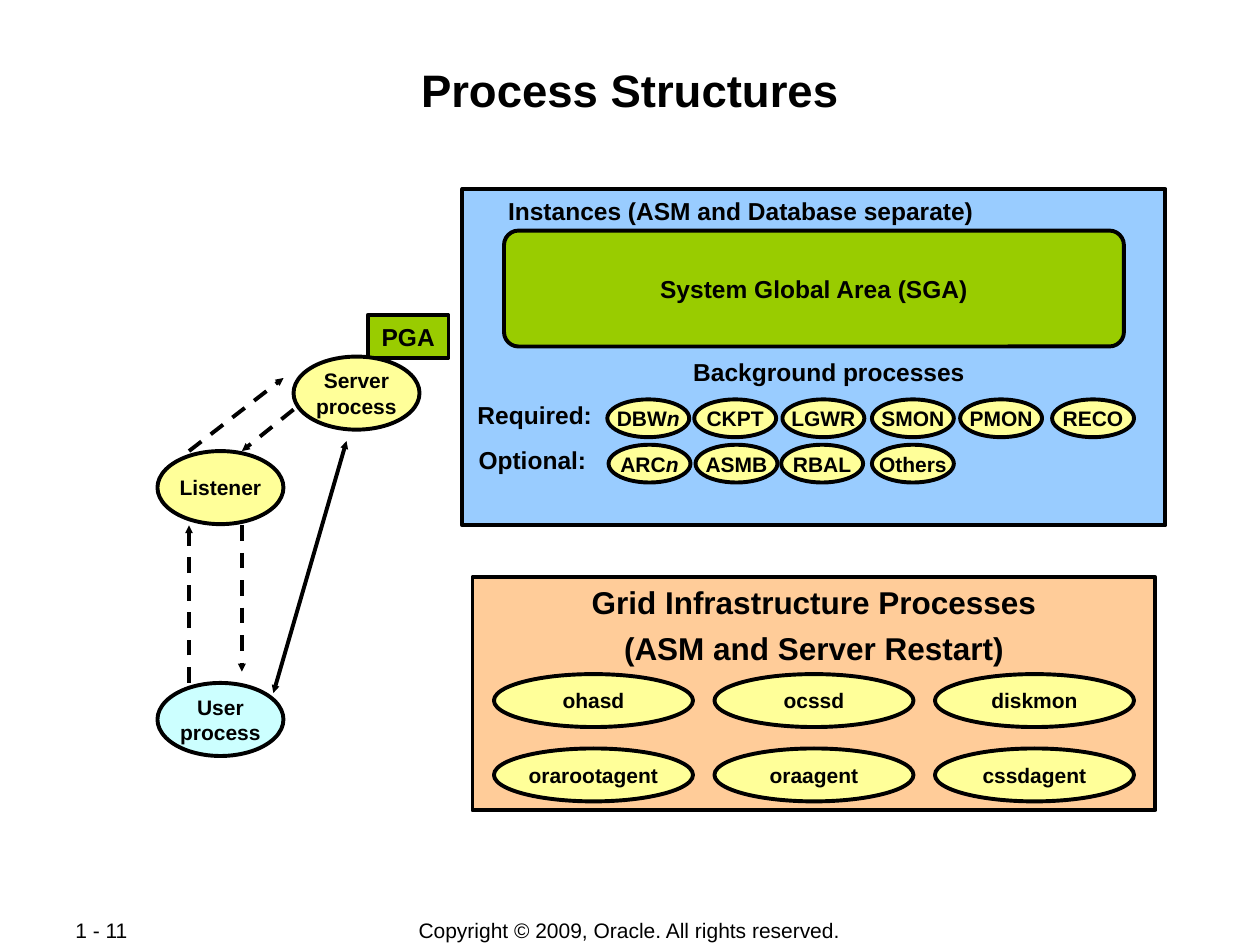
from lxml import etree
from pptx import Presentation
from pptx.dml.color import RGBColor
from pptx.enum.dml import MSO_LINE
from pptx.enum.shapes import MSO_CONNECTOR, MSO_SHAPE
from pptx.enum.text import MSO_ANCHOR, PP_ALIGN
from pptx.oxml.ns import qn
from pptx.util import Inches, Pt

COLORS = {
    "ink": "000000",
    "paper": "FFFFFF",
    "instance": "99CCFF",
    "memory": "99CC00",
    "process": "FFFF99",
    "user": "CCFFFF",
    "grid": "FFCC99",
}


def rgb(name):
    return RGBColor.from_string(COLORS[name])


class Diagram:
    font = "Arial"
    line_width = Pt(2.25)

    def __init__(self, slide):
        self.s = slide
        fill = slide.background.fill
        fill.solid()
        fill.fore_color.rgb = rgb("paper")

    def set_text(self, tf, text, size, bold=True, align=PP_ALIGN.CENTER,
                 anchor=MSO_ANCHOR.MIDDLE, wrap=False, italic_end=""):
        """Fill a text frame; italic_end is a last run set in italics."""
        tf.text = text
        tf.word_wrap = wrap
        tf.vertical_anchor = anchor
        if italic_end:
            r = tf.paragraphs[0].add_run()
            r.text = italic_end
            r.font.italic = True
        for p in tf.paragraphs:
            p.alignment = align
            for r in p.runs:
                r.font.name = self.font
                r.font.size = Pt(size)
                r.font.bold = bold
                r.font.color.rgb = rgb("ink")

    def title(self, text, x, y, w, h):
        sp = self.s.shapes.title
        sp.left, sp.top, sp.width, sp.height = map(Inches, (x, y, w, h))
        tf = sp.text_frame
        tf.margin_left = tf.margin_right = Inches(0.01)
        tf.margin_top = tf.margin_bottom = Inches(0.01)
        self.set_text(tf, text, 26, anchor=MSO_ANCHOR.TOP, wrap=True)

    def label(self, text, x, y, w, h, size=14, line_spacing=0.8, **style):
        sp = self.s.shapes.add_textbox(*map(Inches, (x, y, w, h)))
        style = {"anchor": MSO_ANCHOR.TOP, "wrap": True, **style}
        self.set_text(sp.text_frame, text, size, **style)
        sp.text_frame.paragraphs[0].line_spacing = line_spacing

    def shape(self, kind, color, x, y, w, h, text="", size=14, **style):
        sp = self.s.shapes.add_shape(kind, *map(Inches, (x, y, w, h)))
        sp.shadow.inherit = False
        sp.fill.solid()
        sp.fill.fore_color.rgb = rgb(color)
        sp.line.color.rgb = rgb("ink")
        sp.line.width = self.line_width
        if text:
            self.set_text(sp.text_frame, text, size, **style)
        return sp

    def oval(self, text, x, y, w, h, color="process", italic_end=""):
        self.shape(MSO_SHAPE.OVAL, color, x, y, w, h, text, 12,
                   italic_end=italic_end)

    def arrow(self, start, end, both=False):
        """Dashed arrow pointing at end, or a solid one with two heads."""
        c = self.s.shapes.add_connector(
            MSO_CONNECTOR.STRAIGHT, *map(Inches, (*start, *end)))
        c.line.color.rgb = rgb("ink")
        c.line.width = self.line_width
        if not both:
            c.line.dash_style = MSO_LINE.DASH
        sp_pr = c._element.spPr
        ln = sp_pr.find(qn("a:ln"))
        for tag in ("a:headEnd", "a:tailEnd") if both else ("a:tailEnd",):
            etree.SubElement(ln, qn(tag), type="triangle", w="sm", len="sm")
        etree.SubElement(sp_pr, qn("a:effectLst"))


def draw_instances(d):
    d.shape(MSO_SHAPE.RECTANGLE, "instance", 3.67, 1.5, 5.58, 2.67)
    d.label("Instances (ASM and Database separate)", 3.67, 1.55, 4.42, 0.29)
    sga = d.shape(MSO_SHAPE.ROUNDED_RECTANGLE, "memory", 4, 1.83, 4.92, 0.92,
                  "System Global Area (SGA)")
    sga.adjustments[0] = 0.125
    d.label("Background processes", 4.83, 2.83, 3.5, 0.29)
    d.label("Required:", 3.58, 3.17, 1.33, 0.29)
    d.label("Optional:", 3.7, 3.53, 1.17, 0.29, align=PP_ALIGN.LEFT)

    required = [("DBW", 4.82, "n"), ("CKPT", 5.51, ""), ("LGWR", 6.21, ""),
                ("SMON", 6.92, ""), ("PMON", 7.62, ""), ("RECO", 8.35, "")]
    optional = [("ARC", 4.83, "n"), ("ASMB", 5.52, ""), ("RBAL", 6.2, ""),
                ("Others", 6.92, "")]
    for y, processes in ((3.17, required), (3.53, optional)):
        for name, x, suffix in processes:
            d.oval(name, x, y, 0.65, 0.3, italic_end=suffix)


def draw_connection(d):
    d.shape(MSO_SHAPE.RECTANGLE, "memory", 2.92, 2.5, 0.64, 0.34, "PGA")
    d.oval("Server\vprocess", 2.33, 2.83, 1, 0.58)
    d.oval("Listener", 1.25, 3.58, 1, 0.58)
    d.oval("User\vprocess", 1.25, 5.42, 1, 0.58, color="user")
    d.arrow((2.17, 5.5), (2.75, 3.5), both=True)
    for start, end in (((1.92, 4.17), (1.92, 5.33)),
                       ((1.5, 5.42), (1.5, 4.17)),
                       ((1.5, 3.58), (2.25, 3)),
                       ((2.33, 3.25), (1.92, 3.58))):
        d.arrow(start, end)


def draw_grid_infrastructure(d):
    panel = d.shape(MSO_SHAPE.RECTANGLE, "grid", 3.75, 4.58, 5.42, 1.85,
                    "Grid Infrastructure Processes\n(ASM and Server Restart)",
                    18, anchor=MSO_ANCHOR.TOP, wrap=True)
    panel.text_frame.paragraphs[1].space_before = Pt(4.5)
    rows = (("ohasd", "ocssd", "diskmon"),
            ("orarootagent", "oraagent", "cssdagent"))
    for i, row in enumerate(rows):
        for j, name in enumerate(row):
            d.oval(name, 3.92 + 1.75 * j, 5.35 + 0.59 * i, 1.58, 0.42)


def main():
    prs = Presentation()
    prs.slide_width, prs.slide_height = Inches(10), Inches(7.5)
    d = Diagram(prs.slides.add_slide(prs.slide_layouts[5]))
    d.title("Process Structures", 0.67, 0.48, 8.66, 0.96)
    draw_instances(d)
    draw_connection(d)
    draw_grid_infrastructure(d)
    footer = {"size": 12, "line_spacing": 1.0, "bold": False,
              "anchor": MSO_ANCHOR.MIDDLE}
    d.label("1 - 11", 0.5, 7.28, 1.06, 0.2, align=PP_ALIGN.LEFT, **footer)
    d.label("Copyright © 2009, Oracle. All rights reserved.",
            2.75, 7.28, 4.49, 0.21, **footer)
    prs.save("out.pptx")


if __name__ == "__main__":
    main()
